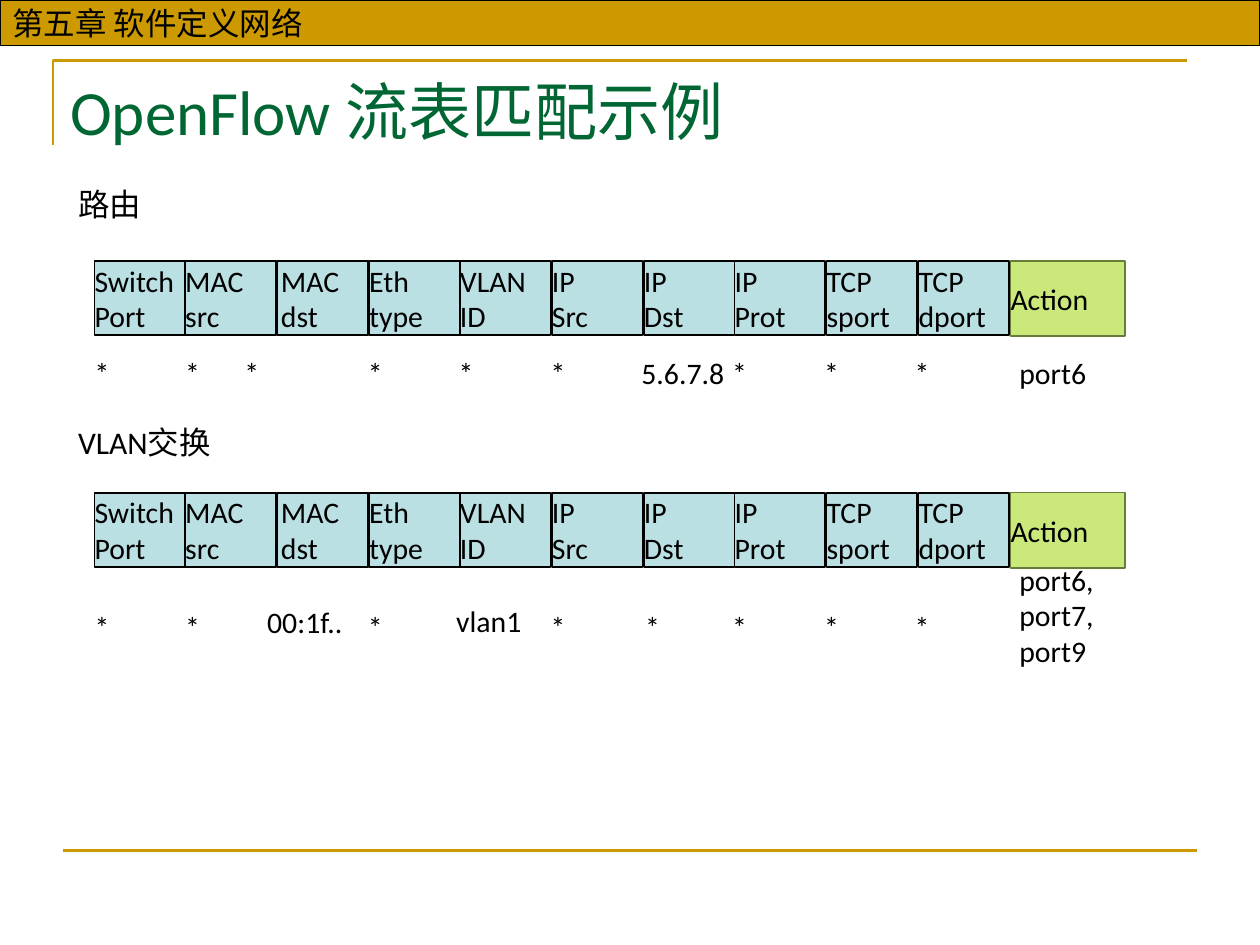
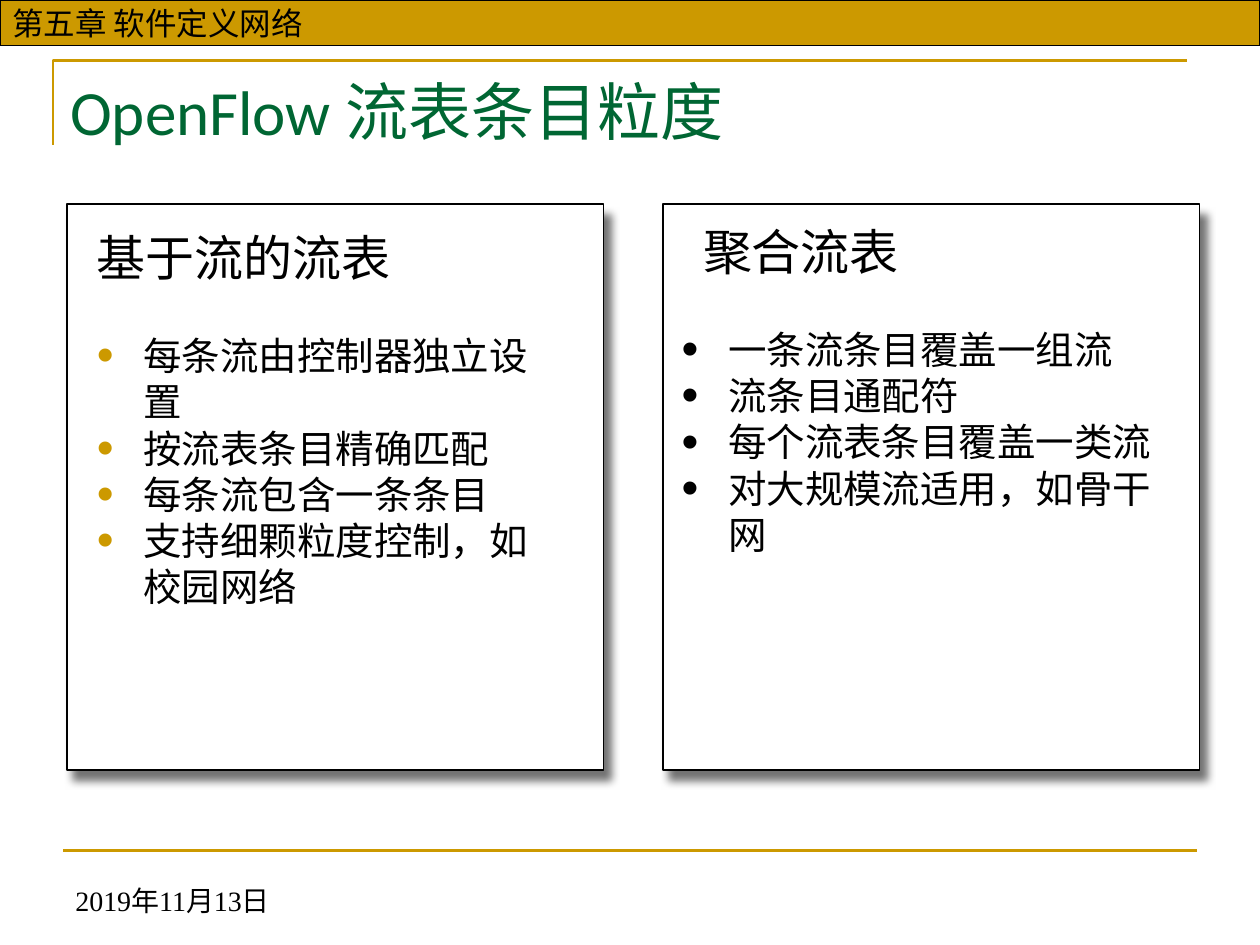
from lxml.etree import SubElement
from pptx import Presentation
from pptx.dml.color import RGBColor
from pptx.enum.shapes import MSO_CONNECTOR, MSO_SHAPE
from pptx.enum.text import MSO_ANCHOR as ANCHOR, PP_ALIGN as ALIGN
from pptx.oxml.ns import qn
from pptx.util import Emu, Pt

# Shared style: 100 px to the inch
SCALE = 9144
GOLD, GREEN, BLACK, WHITE = "CC9900", "006633", "000000", "FFFFFF"
FIELD_FILL, ACTION_FILL, ACTION_LINE = "BBE0E3", "CBE97B", "697D3A"
BODY, HEADER, DATE = "Calibri", "Arial", "Times New Roman"


def px(length):
    return Emu(length * SCALE)


def colour(code):
    return RGBColor.from_string(code)


class Painter:
    def __init__(self):
        self.deck = Presentation()
        self.deck.slide_width, self.deck.slide_height = px(1000), px(750)
        self.page = None

    def new_page(self, title):
        """Start a slide with the shared frame and its title."""
        self.page = self.deck.slides.add_slide(self.deck.slide_layouts[6])
        self.corner([(42, 115), (42, 48), (942, 48)])
        self.line(50, 675, 950, 675)
        band = self.rectangle(0, 0, 1000, 36, GOLD, BLACK, 0.75)
        self.label(band, "第五章 软件定义网络", 18, HEADER, inset=(10, 5))
        self.text(46, 53, 850, 72, title, 36, color=GREEN,
                  anchor=ANCHOR.TOP, inset=(10, 5))

    def corner(self, points):
        start, *rest = [(px(x), px(y)) for x, y in points]
        builder = self.page.shapes.build_freeform(*start)
        builder.add_line_segments(rest, close=False)
        shape = builder.convert_to_shape()
        shape.shadow.inherit = False
        shape.fill.background()
        self.outline(shape, GOLD, 1.5)

    def line(self, x1, y1, x2, y2):
        rule = self.page.shapes.add_connector(
            MSO_CONNECTOR.STRAIGHT, px(x1), px(y1), px(x2), px(y2))
        self.outline(rule, GOLD, 1.5)
        SubElement(rule._element.spPr, qn("a:effectLst"))

    def outline(self, shape, color, width):
        shape.line.color.rgb = colour(color)
        shape.line.width = Pt(width)

    def rectangle(self, x, y, width, height, fill, line, weight=1):
        shape = self.page.shapes.add_shape(
            MSO_SHAPE.RECTANGLE, px(x), px(y), px(width), px(height))
        shape.shadow.inherit = False
        shape.fill.solid()
        shape.fill.fore_color.rgb = colour(fill)
        self.outline(shape, line, weight)
        return shape

    def card(self, x, y, width, height):
        """A white panel with a soft shadow."""
        shape = self.rectangle(x, y, width, height, WHITE, BLACK)
        effects = shape._element.spPr.find(qn("a:effectLst"))
        shadow = SubElement(effects, qn("a:outerShdw"), blurRad=str(Pt(5)),
                            dist=str(Pt(7)), dir="3600000",
                            algn="ctr", rotWithShape="0")
        tone = SubElement(shadow, qn("a:srgbClr"), val=BLACK)
        SubElement(tone, qn("a:alpha"), val="55000")

    def text(self, x, y, width, height, words, size, font=BODY, **style):
        box = self.page.shapes.add_textbox(px(x), px(y), px(width), px(height))
        self.label(box, words, size, font, **style)
        return box

    def label(self, box, words, size, font=BODY, color=BLACK,
              anchor=ANCHOR.MIDDLE, inset=(0, 0)):
        frame = box.text_frame
        frame.word_wrap = True
        frame.vertical_anchor = anchor
        frame.margin_left = frame.margin_right = px(inset[0])
        frame.margin_top = frame.margin_bottom = px(inset[1])
        frame.text = words
        for para in frame.paragraphs:
            self.style(para, size, font, color)

    def style(self, para, size, font, color=BLACK):
        para.alignment = ALIGN.LEFT
        para.font.size, para.font.name = Pt(size), font
        para.font.color.rgb = colour(color)

    def bullets(self, box, items, bullet_color):
        for index, item in enumerate(items):
            para = box.text_frame.add_paragraph()
            para.text = item
            para.space_before = Pt(0 if index else 26)
            props = para._p.get_or_add_pPr()
            props.set("marL", str(px(37)))
            props.set("indent", str(px(-37)))
            tone = SubElement(props, qn("a:buClr"))
            SubElement(tone, qn("a:srgbClr"), val=bullet_color)
            SubElement(props, qn("a:buSzPct"), val="125000")
            SubElement(props, qn("a:buFont"), typeface="Arial")
            SubElement(props, qn("a:buChar"), char="•")
            self.style(para, 22, HEADER)


FIELDS = ["Switch\nPort", "MAC\nsrc", "MAC\ndst", "Eth\ntype", "VLAN\nID",
          "IP\nSrc", "IP\nDst", "IP\nProt", "TCP\nsport", "TCP\ndport"]


def flow_table(painter, top, values_top, values, shifts):
    """Header cells of a flow table and one row of match values."""
    for column, field in enumerate(FIELDS):
        cell = painter.rectangle(75 + 727 * column // 10, top, 72, 59,
                                 FIELD_FILL, BLACK)
        painter.label(cell, field, 17, inset=(3 if column == 2 else 0, 0))
    action = painter.rectangle(802, top, 91, 60, ACTION_FILL, ACTION_LINE)
    painter.label(action, "Action", 17)
    for column, value in enumerate(values):
        right, down = shifts.get(column, (0, 0))
        painter.text(75 + 724 * column // 10 + right, values_top + down,
                     72, 35, value, 17)


def match_examples(painter):
    painter.new_page("OpenFlow 流表匹配示例")

    # Routing
    painter.text(62, 147, 60, 30, "路由", 18)
    flow_table(painter, 207, 278, ["*"] * 6 + ["5.6.7.8"] + ["*"] * 3,
               {2: (-25, 0)})
    painter.text(809, 278, 72, 35, "port6", 17)

    # VLAN switching
    painter.text(62, 336, 106, 30, "VLAN交换", 18)
    flow_table(painter, 391, 480,
               ["*", "*", "00:1f..", "*", "vlan1"] + ["*"] * 5,
               {2: (-7, -4), 4: (-2, -5), 6: (3, 0)})
    painter.text(809, 443, 72, 90, "port6,\nport7,\nport9", 17)


def entry_granularity(painter):
    painter.new_page("OpenFlow 流表条目粒度")
    painter.text(50, 683, 233, 50, "2019年11月13日", 16, DATE,
                 anchor=ANCHOR.BOTTOM, inset=(10, 5))

    # Per-flow and aggregated entries side by side
    panels = [
        (53, 67, "基于流的流表", BODY, (10, 5), 0, GOLD,
         ["每条流由控制器独立设置", "按流表条目精确匹配",
          "每条流包含一条条目", "支持细颗粒度控制，如校园网络"]),
        (526, 541, "聚合流表", HEADER, (0, 0), 17, BLACK,
         ["一条流条目覆盖一组流", "流条目通配符",
          "每个流表条目覆盖一类流", "对大规模流适用，如骨干网"]),
    ]
    for left, text_left, heading, font, inset, indent, dot, items in panels:
        painter.card(left, 162, 426, 449)
        box = painter.text(text_left, 176, 392, 477, heading, 28, font,
                           anchor=ANCHOR.TOP, inset=inset)
        props = box.text_frame.paragraphs[0]._p.get_or_add_pPr()
        props.set("marL", str(px(indent)))
        painter.bullets(box, items, dot)


def main():
    painter = Painter()
    match_examples(painter)
    entry_granularity(painter)
    painter.deck.save("out.pptx")


if __name__ == "__main__":
    main()
